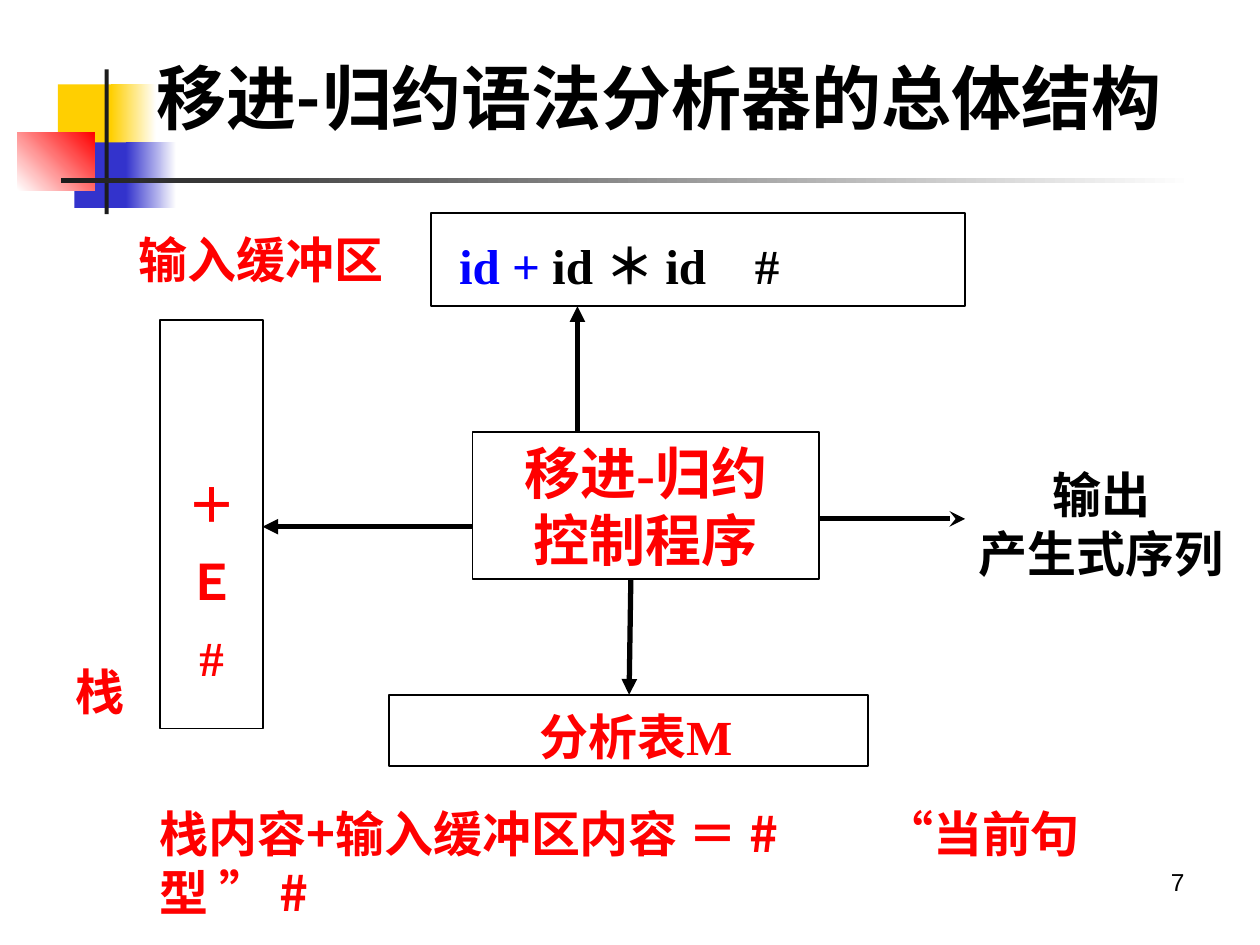
from lxml import etree
from pptx import Presentation
from pptx import util as u
from pptx.dml.color import RGBColor
from pptx.enum import shapes, text
from pptx.oxml.ns import qn

COLORS = {
    "black": "000000", "white": "FFFFFF", "red": "FF0000", "blue": "0000FF",
    "yellow": "FFCF01", "indigo": "3333CC", "dark": "1C1C1C",
}
CJK = "Noto Sans CJK SC"
SERIF = "Times New Roman"
LEFT, CENTER, RIGHT = text.PP_ALIGN.LEFT, text.PP_ALIGN.CENTER, text.PP_ALIGN.RIGHT

TITLE = "移进-归约语法分析器的总体结构"

# (left, top, width, height), colours from start to end, gradient angle
DECORATION = [
    ((33.1, 48.2, 34.6, 37.4), ["yellow"], 0),
    ((63.4, 48.2, 25.9, 37.4), ["yellow", "white"], 0),
    ((42.5, 81.4, 33.1, 37.4), ["indigo"], 0),
    ((72, 81.4, 28.8, 37.4), ["indigo", "white"], 0),
    ((10, 75.6, 44, 33.1), ["white", "red"], 45),
    ((59.8, 39.6, 2.3, 82.8), ["dark"], 0),
    ((34.6, 102, 648, 2.9), ["dark", "white"], 0),
]

# A run is (text, size, colour, font, bold)
def red(words, size=28, font=SERIF):
    return (words, size, "red", font, True)


FRAMED = [
    dict(at=(246.25, 121.7, 305.3, 53.3), tab=178, lines=[[
        (" ", 36, "blue", SERIF, True), ("id + ", 28, "blue", SERIF, True),
        ("id ＊ id\t#", 28, "black", SERIF, True)]]),
    dict(at=(91.4, 183, 59, 233.3), align=CENTER, spacing=1.3, inset_top=58,
         lines=[[red("＋")], [red("Ｅ")], [red("#")]]),
    dict(at=(270, 247, 198, 84), align=CENTER,
         lines=[[red("移进-归约", 32)], [red("控制程序", 32)]]),
    dict(at=(222.5, 397, 273.6, 41), align=CENTER,
         lines=[[(" ", 36, "indigo", SERIF, True), red("分析表M")]]),
]

LABELS = [
    dict(at=(516.2, 491.8, 167.8, 37.4), align=RIGHT,
         lines=[[("7", 14, "black", "Arial", False)]]),
    dict(at=(547.2, 262, 164.2, 75), align=CENTER,
         lines=[[("输出", 28, "black", SERIF, True)],
                [("产生式序列", 28, "black", SERIF, True)]]),
    dict(at=(84.2, 455.8, 594, 75), tab=414, inset_right=22, lines=[[
        red("栈内容+输入缓冲区内容 ＝ #\t", font=CJK), red("“"),
        red("当前句型 ", font=CJK), red("” "), red("#", font=CJK)]]),
    dict(at=(36, 374.4, 42.5, 41), wrap=False, lines=[[red("栈")]]),
    dict(at=(72, 119.5, 162, 50.4), wrap=False,
         lines=[[red("输入缓冲区"), (" ", 36, "dark", SERIF, False)]]),
]

# start, end, arrowhead
ARROWS = [
    ((330, 247), (330, 175), "triangle"),
    ((468, 296.5), (551.5, 296.5), "stealth"),
    ((360.5, 331), (359.5, 397), "triangle"),
    ((270, 301), (150, 301), "triangle"),
]


def rgb(name):
    return RGBColor.from_string(COLORS[name])


def points(values):
    return [u.Pt(value) for value in values]


def add_span(para, words, size, color, font, bold):
    span = para.add_run()
    span.text = words
    span.font.size, span.font.bold, span.font.name = u.Pt(size), bold, font
    span.font.color.rgb = rgb(color)
    latin = span.font._element.find(qn("a:latin"))
    east = etree.Element(qn("a:ea"), typeface=CJK)
    latin.addnext(east)


def write(box, lines, anchor, align=LEFT, spacing=None, tab=None,
          inset_top=3.6, inset_right=7.2, wrap=True):
    frame = box.text_frame
    frame.word_wrap = wrap
    frame.vertical_anchor = anchor
    frame.margin_left, frame.margin_bottom = points((7.2, 3.6))
    frame.margin_top, frame.margin_right = points((inset_top, inset_right))
    for number, line in enumerate(lines):
        para = frame.add_paragraph() if number else frame.paragraphs[0]
        para.alignment = align
        if spacing:
            para.line_spacing = spacing
        if tab:
            stops = etree.SubElement(para._p.get_or_add_pPr(), qn("a:tabLst"))
            etree.SubElement(stops, qn("a:tab"), pos=str(u.Pt(tab)), algn="l")
        for span in line:
            add_span(para, *span)


def add_rectangle(page, at):
    box = page.shapes.add_shape(shapes.MSO_SHAPE.RECTANGLE, *points(at))
    box.shadow.inherit = False
    return box


def add_decoration(page, at, colors, angle):
    box = add_rectangle(page, at)
    box.line.fill.background()
    if len(colors) == 1:
        box.fill.solid()
        box.fill.fore_color.rgb = rgb(colors[0])
        return
    box.fill.gradient()
    box.fill.gradient_angle = angle
    for stop, color in zip(box.fill.gradient_stops, colors):
        stop.color.rgb = rgb(color)


def add_framed(page, at, **content):
    box = add_rectangle(page, at)
    box.fill.background()
    box.line.color.rgb = rgb("black")
    box.line.width = u.Pt(1)
    write(box, anchor=text.MSO_ANCHOR.MIDDLE, **content)


def add_label(page, at, **content):
    box = page.shapes.add_textbox(*points(at))
    write(box, anchor=text.MSO_ANCHOR.TOP, **content)


def add_arrow(page, start, end, head):
    arrow = page.shapes.add_connector(
        shapes.MSO_CONNECTOR.STRAIGHT, *points(start + end))
    arrow.line.color.rgb = rgb("black")
    arrow.line.width = u.Pt(3)
    etree.SubElement(arrow.line._get_or_add_ln(), qn("a:tailEnd"), type=head)
    etree.SubElement(arrow._element.spPr, qn("a:effectLst"))


def place_title(page):
    title = page.shapes.title
    title.left, title.top, title.width, title.height = points((82, 28, 612, 54.7))
    write(title, [[(TITLE, 40, "black", "Lato", True)]], text.MSO_ANCHOR.MIDDLE)
    # Bring the title in front of the decoration
    title._element.getparent().append(title._element)


def main():
    deck = Presentation()
    deck.slide_width, deck.slide_height = points((720, 540))
    page = deck.slides.add_slide(deck.slide_layouts[5])
    for part in DECORATION:
        add_decoration(page, *part)
    place_title(page)
    for item in FRAMED:
        add_framed(page, **item)
    for item in LABELS:
        add_label(page, **item)
    for arrow in ARROWS:
        add_arrow(page, *arrow)
    deck.save("out.pptx")


if __name__ == "__main__":
    main()
